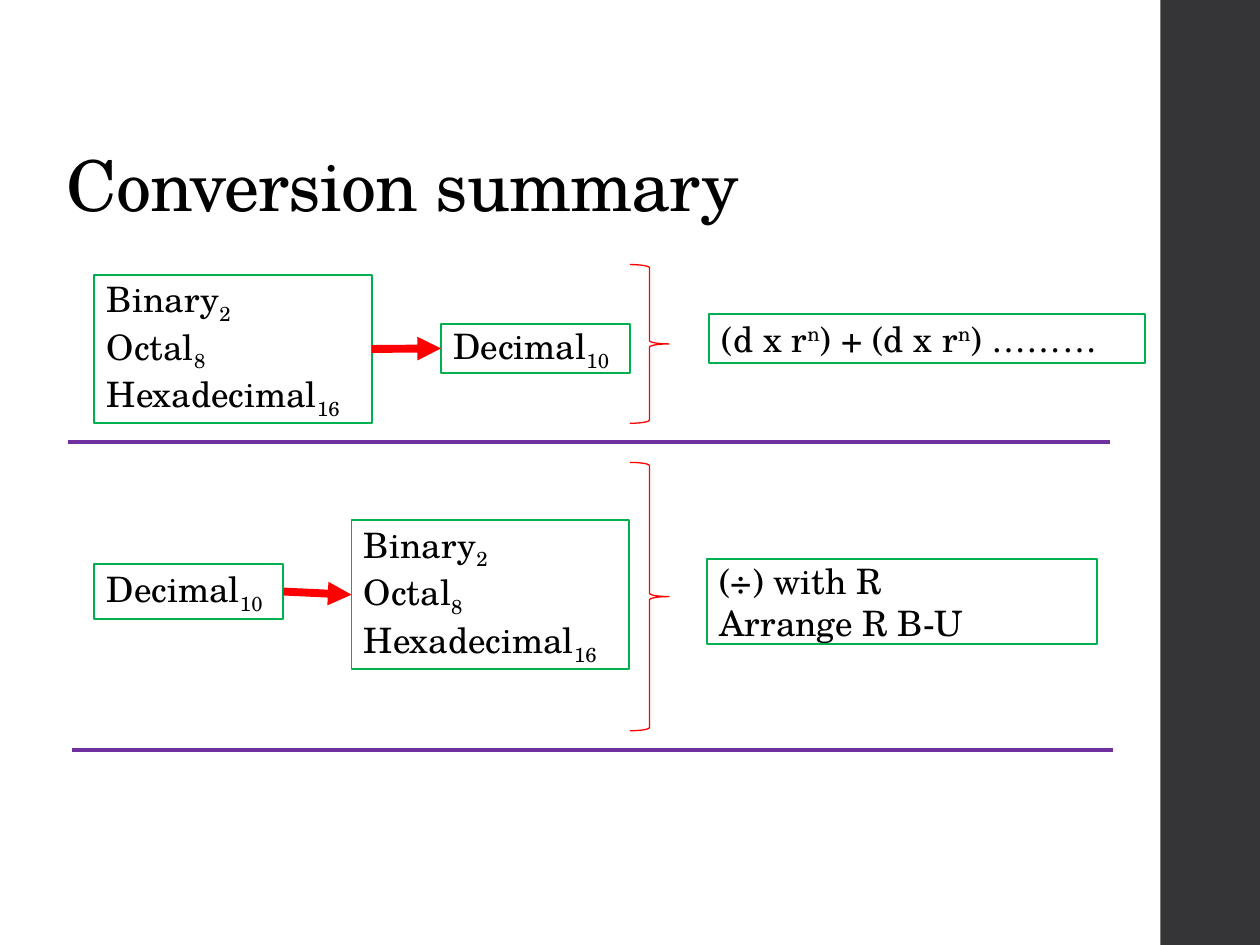
import dataclasses

import lxml.etree
import pptx
import pptx.dml.color
import pptx.enum.shapes
import pptx.enum.text
import pptx.oxml.ns
import pptx.util

SHAPE = pptx.enum.shapes.MSO_SHAPE
ANCHOR = pptx.enum.text.MSO_ANCHOR
LEFT, RIGHT = 1, 3  # connection sites of a rectangle
COLS, ROWS = 100, 75


@dataclasses.dataclass(frozen=True)
class Theme:
    font: str = "TeX Gyre Schola"
    ink: str = "000000"
    bar: str = "353537"
    frame: str = "00B050"
    accent: str = "FF0000"
    rule: str = "7030A0"
    title: int = 40
    body: int = 20


THEME = Theme()
WIDTH, HEIGHT = pptx.util.Inches(10), pptx.util.Inches(7.5)

# A run is (text, baseline shift in percent); a line is a list of runs.
BASES = [
    [("Binary", 0), ("2", -25)],
    [("Octal", 0), ("8", -25)],
    [("Hexadecimal", 0), ("16", -25)],
]
DECIMAL = [[("Decimal", 0), ("10", -25)]]
POWERS = [[("(d x r", 0), ("n", 30), (") + (d x r", 0), ("n", 30), (") ………", 0)]]
DIVIDE = [[("(÷) with R", 0)], [("Arrange R B-U", 0)]]


def rgb(code):
    return pptx.dml.color.RGBColor.from_string(code)


def grid(left, top, width, height):
    """Turn columns and rows into slide lengths."""
    col, row = WIDTH / COLS, HEIGHT / ROWS
    return [round(n) for n in (left * col, top * row, width * col, height * row)]


def write(frame, lines, size, anchor):
    frame.word_wrap = True
    frame.vertical_anchor = anchor
    for i, line in enumerate(lines):
        para = frame.paragraphs[0] if i == 0 else frame.add_paragraph()
        para.alignment = pptx.enum.text.PP_ALIGN.LEFT
        para.font.name = THEME.font
        para.font.size = pptx.util.Pt(size)
        para.font.color.rgb = rgb(THEME.ink)
        for text, shift in line:
            run = para.add_run()
            run.text = text
            if shift:
                run.font._element.set("baseline", str(shift * 1000))


def add_title(slide, text, place):
    box = slide.shapes.add_textbox(*grid(*place))
    write(box.text_frame, [[(text, 0)]], THEME.title, ANCHOR.BOTTOM)
    para = box.text_frame.paragraphs[0]
    para.line_spacing = 0.9
    para.runs[0].font._element.set("spc", "-50")


def add_bar(slide, place):
    bar = slide.shapes.add_shape(SHAPE.RECTANGLE, *grid(*place))
    bar.shadow.inherit = False
    bar.fill.solid()
    bar.fill.fore_color.rgb = rgb(THEME.bar)
    bar.line.fill.background()


def add_outline(slide, kind, place, color, weight):
    shape = slide.shapes.add_shape(kind, *grid(*place))
    shape.shadow.inherit = False
    shape.fill.background()
    shape.line.color.rgb = rgb(color)
    shape.line.width = pptx.util.Pt(weight)
    return shape


def add_box(slide, lines, place):
    box = add_outline(slide, SHAPE.RECTANGLE, place, THEME.frame, 1.1)
    write(box.text_frame, lines, THEME.body, ANCHOR.MIDDLE)
    return box


def add_brace(slide, place):
    add_outline(slide, SHAPE.RIGHT_BRACE, place, THEME.accent, 0.75)


def add_line(slide, ends, color, weight):
    line = slide.shapes.add_connector(
        pptx.enum.shapes.MSO_CONNECTOR.STRAIGHT, *ends)
    line.line.color.rgb = rgb(color)
    line.line.width = pptx.util.Pt(weight)
    lxml.etree.SubElement(line._element.spPr, pptx.oxml.ns.qn("a:effectLst"))
    return line


def add_rule(slide, left, top, width):
    x, y, span, _ = grid(left, top, width, 0)
    add_line(slide, (x, y, x + span, y), THEME.rule, 2.25)


def add_arrow(slide, start, end):
    arrow = add_line(slide, (0, 0, 0, 0), THEME.accent, 4.5)
    arrow.begin_connect(start, RIGHT)
    arrow.end_connect(end, LEFT)
    stroke = arrow.line._get_or_add_ln()
    lxml.etree.SubElement(stroke, pptx.oxml.ns.qn("a:tailEnd"), type="triangle")


def main():
    deck = pptx.Presentation()
    deck.slide_width, deck.slide_height = WIDTH, HEIGHT
    slide = deck.slides.add_slide(deck.slide_layouts[6])

    add_bar(slide, (92.1, 0, 7.9, ROWS))
    add_title(slide, "Conversion summary", (4.3, 4, 85.5, 14.5))

    bases = add_box(slide, BASES, (7.5, 21.8, 22, 11.8))
    decimal = add_box(slide, DECIMAL, (35, 25.7, 15, 3.9))
    add_arrow(slide, bases, decimal)
    add_brace(slide, (50, 21, 3.1, 12.6))
    add_box(slide, POWERS, (56.3, 24.9, 34.6, 3.9))
    add_rule(slide, 5.4, 35.1, 82.7)

    decimal = add_box(slide, DECIMAL, (7.5, 44.8, 15, 4.3))
    bases = add_box(slide, BASES, (27.9, 41.3, 22, 11.8))
    add_arrow(slide, decimal, bases)
    add_brace(slide, (50, 36.7, 3.1, 21.3))
    add_box(slide, DIVIDE, (56.1, 44.4, 31, 6.7))
    add_rule(slide, 5.7, 59.5, 82.6)

    deck.save("out.pptx")


if __name__ == "__main__":
    main()
